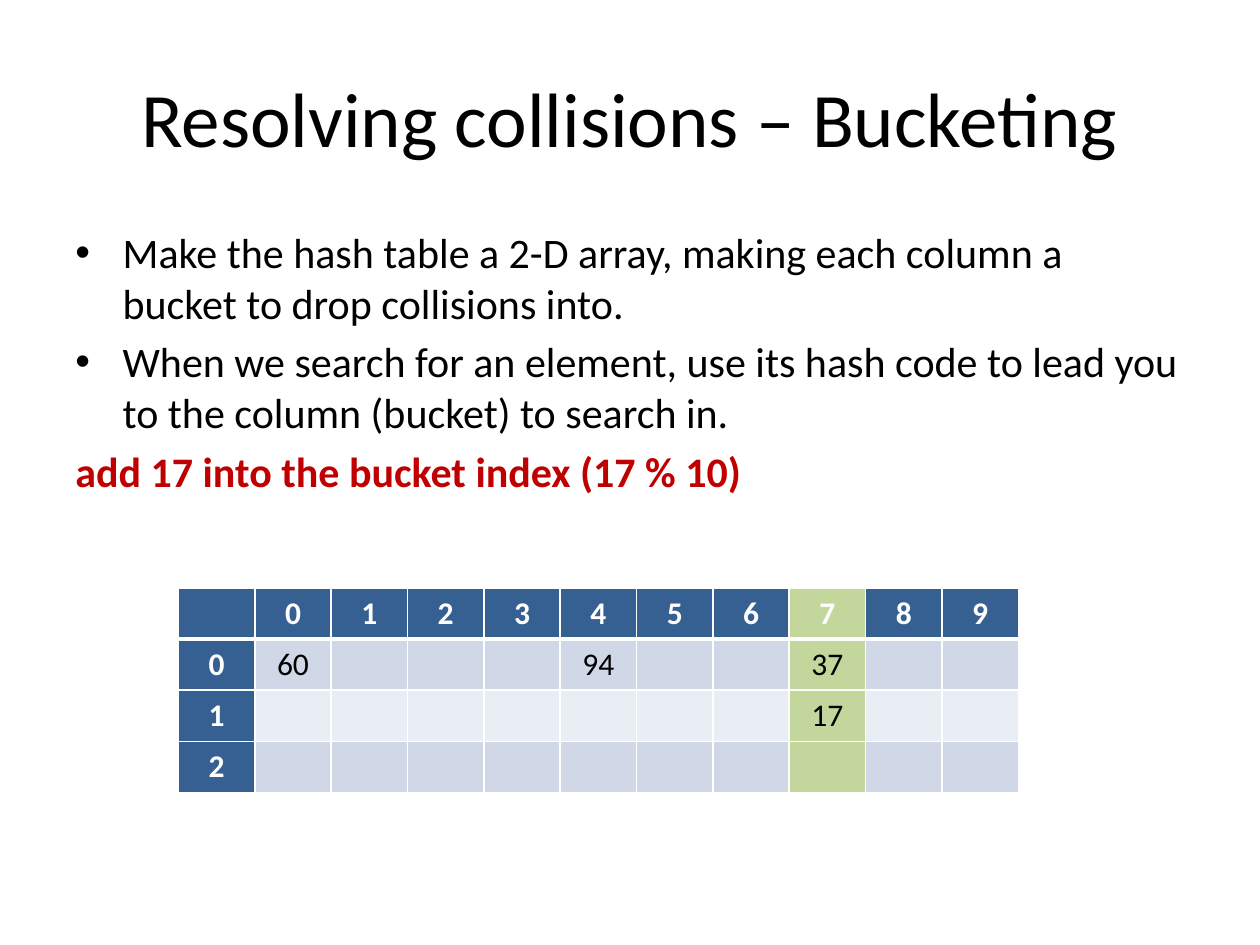
import pptx
import pptx.dml.color
import pptx.enum.text
import pptx.oxml
import pptx.oxml.ns
import pptx.util

Pt = pptx.util.Pt
RGB = pptx.dml.color.RGBColor.from_string
ALIGN = pptx.enum.text.PP_ALIGN
ANCHOR = pptx.enum.text.MSO_ANCHOR
NS = pptx.oxml.ns.nsdecls("a")

THEME = {
    "font": "Calibri",
    "title": Pt(44), "body": Pt(24), "cell": Pt(18),
    "text": "000000", "accent": "C00000", "white": "FFFFFF",
    "header": "376092", "bucket": "C3D69B", "bands": ["D0D8E8", "E9EDF4"],
}


def add_text(p, text, size, color="text", bold=False):
    r = p.add_run()
    r.text = text
    for name, value in {"name": THEME["font"], "size": THEME[size], "bold": bold}.items():
        setattr(r.font, name, value)
    r.font.color.rgb = RGB(THEME[color])


def add_box(s, left, top, width, height, anchor):
    tf = s.shapes.add_textbox(Pt(left), Pt(top), Pt(width), Pt(height)).text_frame
    for name, value in {"word_wrap": True, "vertical_anchor": anchor}.items():
        setattr(tf, name, value)
    return tf


prs = pptx.Presentation()
prs.slide_width, prs.slide_height = Pt(720), Pt(540)
s = prs.slides.add_slide(prs.slide_layouts[6])

tf = add_box(s, 36, 21.6, 648, 90, ANCHOR.MIDDLE)
p = tf.paragraphs[0]
p.alignment = ALIGN.CENTER
add_text(p, "Resolving collisions – Bucketing", "title")

body = [
    ("Make the hash table a 2-D array, making each column a bucket to drop collisions into.", True),
    ("When we search for an element, use its hash code to lead you to the column (bucket) to search in.", True),
    ("add 17 into the bucket index (17 % 10)", False),
]
tf = add_box(s, 36, 126, 648, 356.4, ANCHOR.TOP)
for i, (text, bullet) in enumerate(body):
    p = tf.paragraphs[0] if i == 0 else tf.add_paragraph()
    if bullet:
        pPr = p._p.get_or_add_pPr()
        for name, value in {"marL": Pt(27), "indent": Pt(-27)}.items():
            pPr.set(name, str(value))
        pPr.append(pptx.oxml.parse_xml(f'<a:buFont {NS} typeface="Arial"/>'))
        pPr.append(pptx.oxml.parse_xml(f'<a:buChar {NS} char="•"/>'))
    if i > 0:
        p.space_before = Pt(4.8)
    add_text(p, text, "body", "text" if bullet else "accent", not bullet)

rows, cols, bucket_col = 4, 11, 8
col_width, row_height = 43.64, 29.2
values = {(1, 1): "60", (1, 5): "94", (1, bucket_col): "37", (2, bucket_col): "17"}
values.update({(0, c): str(c - 1) for c in range(1, cols)})
values.update({(r, 0): str(r - 1) for r in range(1, rows)})

table = s.shapes.add_table(
    rows, cols, Pt(102), Pt(336), Pt(col_width * cols), Pt(row_height * rows)
).table
for col in table.columns:
    col.width = Pt(col_width)
for row in table.rows:
    row.height = Pt(row_height)

for r in range(rows):
    for c in range(cols):
        cell = table.cell(r, c)
        heading = r == 0 or c == 0
        fill = THEME["header"] if heading else THEME["bands"][(r - 1) % 2]
        if c == bucket_col:
            fill = THEME["bucket"]
        cell.fill.solid()
        cell.fill.fore_color.rgb = RGB(fill)
        widths = {"lnL": 1, "lnR": 1, "lnT": 3 if r == 1 else 1, "lnB": 3 if r == 0 else 1}
        tcPr = cell._tc.get_or_add_tcPr()
        for i, (side, width) in enumerate(widths.items()):
            tcPr.insert(i, pptx.oxml.parse_xml(
                f'<a:{side} {NS} w="{Pt(width)}"><a:solidFill>'
                f'<a:srgbClr val="{THEME["white"]}"/></a:solidFill></a:{side}>'))
        if (r, c) in values:
            p = cell.text_frame.paragraphs[0]
            p.alignment = ALIGN.CENTER
            add_text(p, values[r, c], "cell", "white" if heading else "text", heading)

prs.save("out.pptx")
